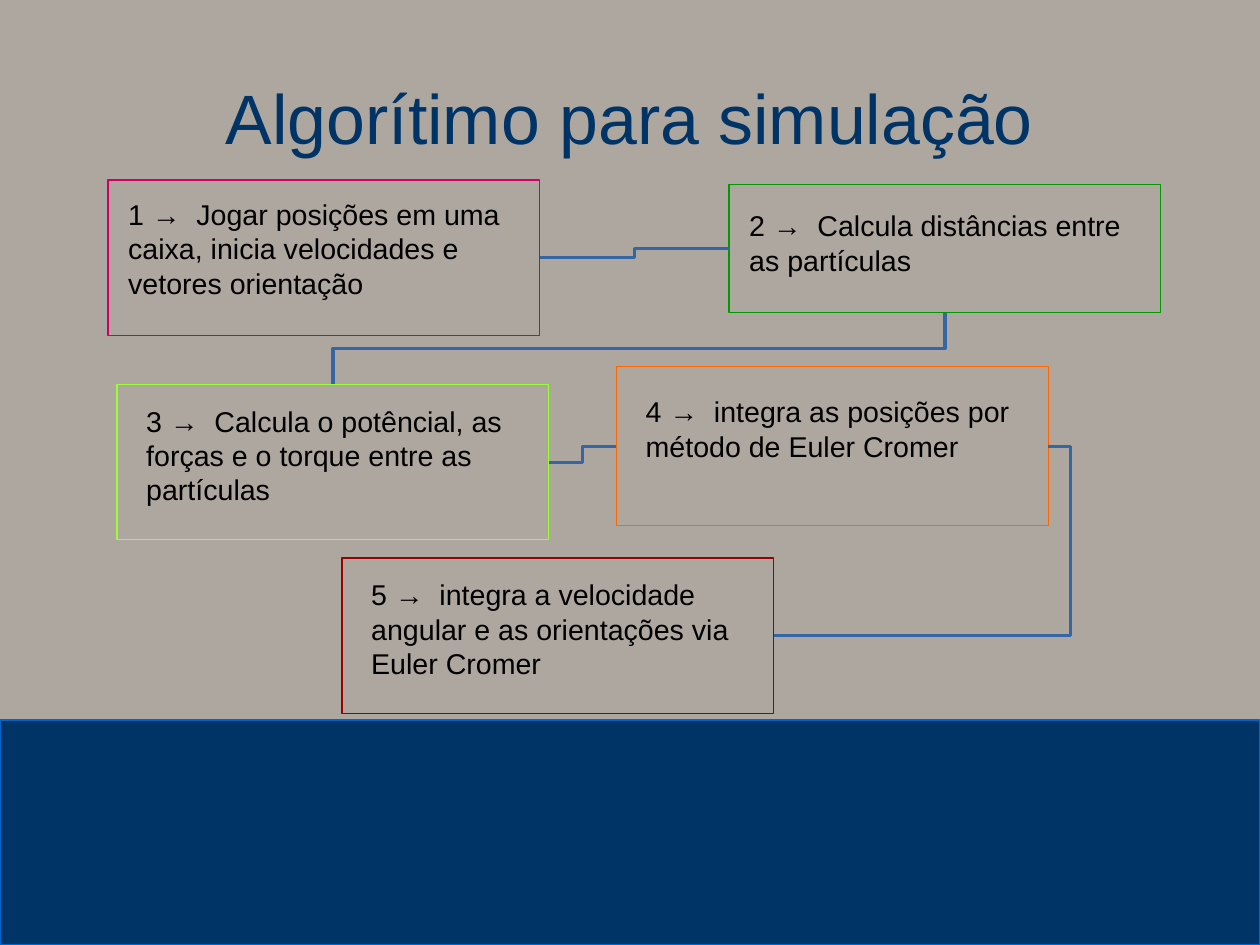
from lxml import etree
from pptx import Presentation
from pptx import util as u
from pptx.dml.color import RGBColor
from pptx.enum import shapes, text
from pptx.oxml.ns import qn

TOP, LEFT, BOTTOM, RIGHT = range(4)
BOX_W = 9.6
STEPS = [
    ("1 →  Jogar posições em uma caixa, inicia velocidades e vetores orientação",
     2.4, 4, 3.46, "CC0066", (0.45, 0.38, 0.45)),
    ("2 →  Calcula distâncias entre as partículas",
     16.2, 4.1, 2.85, "009900", (0.45, 0.53, 0.45)),
    ("3 →  Calcula o potêncial, as forças e o torque entre as partículas",
     2.6, 8.54, 3.46, "99FF33", (0.65, 0.43, 0.86)),
    ("4 →  integra as posições por método de Euler Cromer",
     13.7, 8.15, 3.53, "FF6600", (0.65, 0.61, 0.86)),
    ("5 →  integra a velocidade angular e as orientações via Euler Cromer",
     7.6, 12.4, 3.46, "990000", (0.65, 0.43, 0.86)),
]


def rgb(value):
    """Turn a hex string into a colour."""
    return RGBColor.from_string(value)


def write(tf, content, size, color, align, anchor, insets):
    """Put one formatted paragraph into a text frame."""
    tf.word_wrap = True
    tf.auto_size = text.MSO_AUTO_SIZE.NONE
    tf.vertical_anchor = anchor
    tf.margin_left, tf.margin_top, tf.margin_right = map(u.Cm, insets)
    tf.margin_bottom = 0
    p = tf.paragraphs[0]
    p.alignment = align
    r = p.add_run()
    r.text = content
    r.font.name, r.font.size = "Arial", u.Pt(size)
    r.font.color.rgb = rgb(color)


def add_rect(s, x, y, w, h, line, fill=None):
    """Add a hairline rectangle, hollow unless a fill is given."""
    sp = s.shapes.add_shape(shapes.MSO_SHAPE.RECTANGLE, *map(u.Cm, (x, y, w, h)))
    sp.shadow.inherit = False
    if fill:
        sp.fill.solid()
        sp.fill.fore_color.rgb = rgb(fill)
    else:
        sp.fill.background()
    sp.line.color.rgb = rgb(line)
    sp.line.width = u.Pt(0)
    return sp


def add_step(s, content, x, y, h, color, insets):
    """Add one outlined step of the algorithm."""
    sp = add_rect(s, x, y, BOX_W, h, color)
    write(sp.text_frame, content, 18, "000000", text.PP_ALIGN.LEFT,
          text.MSO_ANCHOR.TOP, insets)
    return sp


def turn_down(cxn):
    """Make an elbow that runs down and to the left leave vertically."""
    w, h = cxn.width, cxn.height
    cxn.left, cxn.top = cxn.left + (w - h) // 2, cxn.top + (h - w) // 2
    cxn.width, cxn.height = h, w
    xfrm = cxn._element.spPr.find(qn("a:xfrm"))
    xfrm.attrib.pop("flipH", None)
    xfrm.set("rot", "5400000")


def join(s, start, start_site, end, end_site, bend=0.5):
    """Join two steps with an elbow connector."""
    cxn = s.shapes.add_connector(shapes.MSO_CONNECTOR.ELBOW, 0, 0, 0, 0)
    cxn.begin_connect(start, start_site)
    cxn.end_connect(end, end_site)
    cxn.line.color.rgb = rgb("3465A4")
    cxn.line.width = u.Pt(0)
    spPr = cxn._element.spPr
    etree.SubElement(spPr, qn("a:effectLst"))
    guides = spPr.find(qn("a:prstGeom")).find(qn("a:avLst"))
    etree.SubElement(guides, qn("a:gd"), name="adj1",
                     fmla=f"val {round(bend * 100000)}")
    if start_site == BOTTOM:
        turn_down(cxn)


def add_title(s, content):
    """Place and fill the title placeholder."""
    sp = s.shapes.title
    sp.left, sp.top, sp.width, sp.height = map(u.Cm, (1.4, 0.84, 25.2, 3.51))
    write(sp.text_frame, content, 44, "003366", text.PP_ALIGN.CENTER,
          text.MSO_ANCHOR.MIDDLE, (0, 0, 0))


def main():
    """Build the slide and save it."""
    prs = Presentation()
    prs.slide_width, prs.slide_height = u.Cm(28), u.Cm(21)
    s = prs.slides.add_slide(prs.slide_layouts[5])
    s.background.fill.solid()
    s.background.fill.fore_color.rgb = rgb("AEA79F")
    add_title(s, "Algorítimo para simulação")
    add_rect(s, 0, 16, 28, 5, "0066CC", "003366")
    place, distances, forces, positions, rotation = [
        add_step(s, *step) for step in STEPS]
    join(s, place, RIGHT, distances, LEFT)
    join(s, distances, BOTTOM, forces, TOP)
    join(s, forces, RIGHT, positions, LEFT)
    join(s, positions, RIGHT, rotation, RIGHT, -0.08)
    prs.save("out.pptx")


if __name__ == "__main__":
    main()
